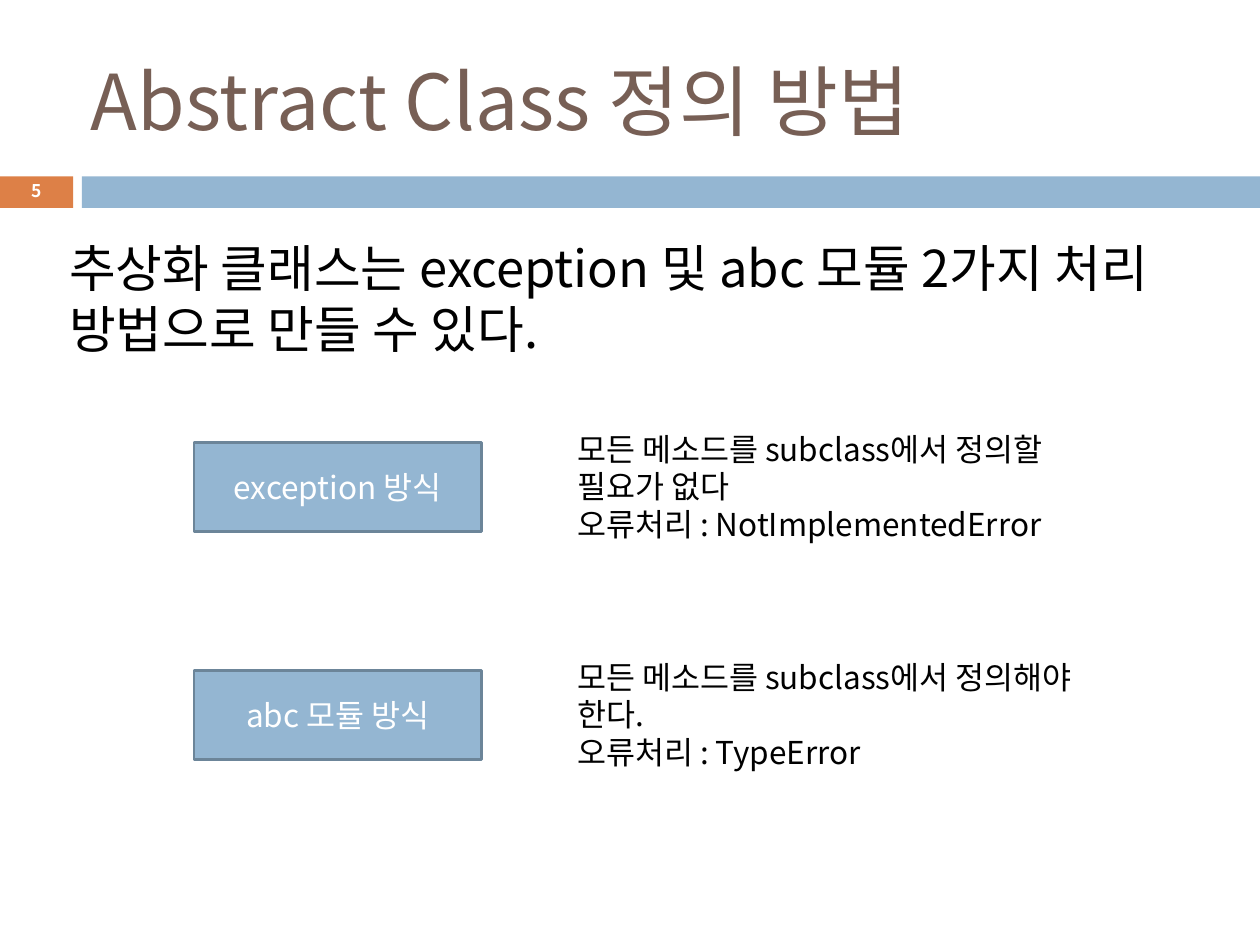
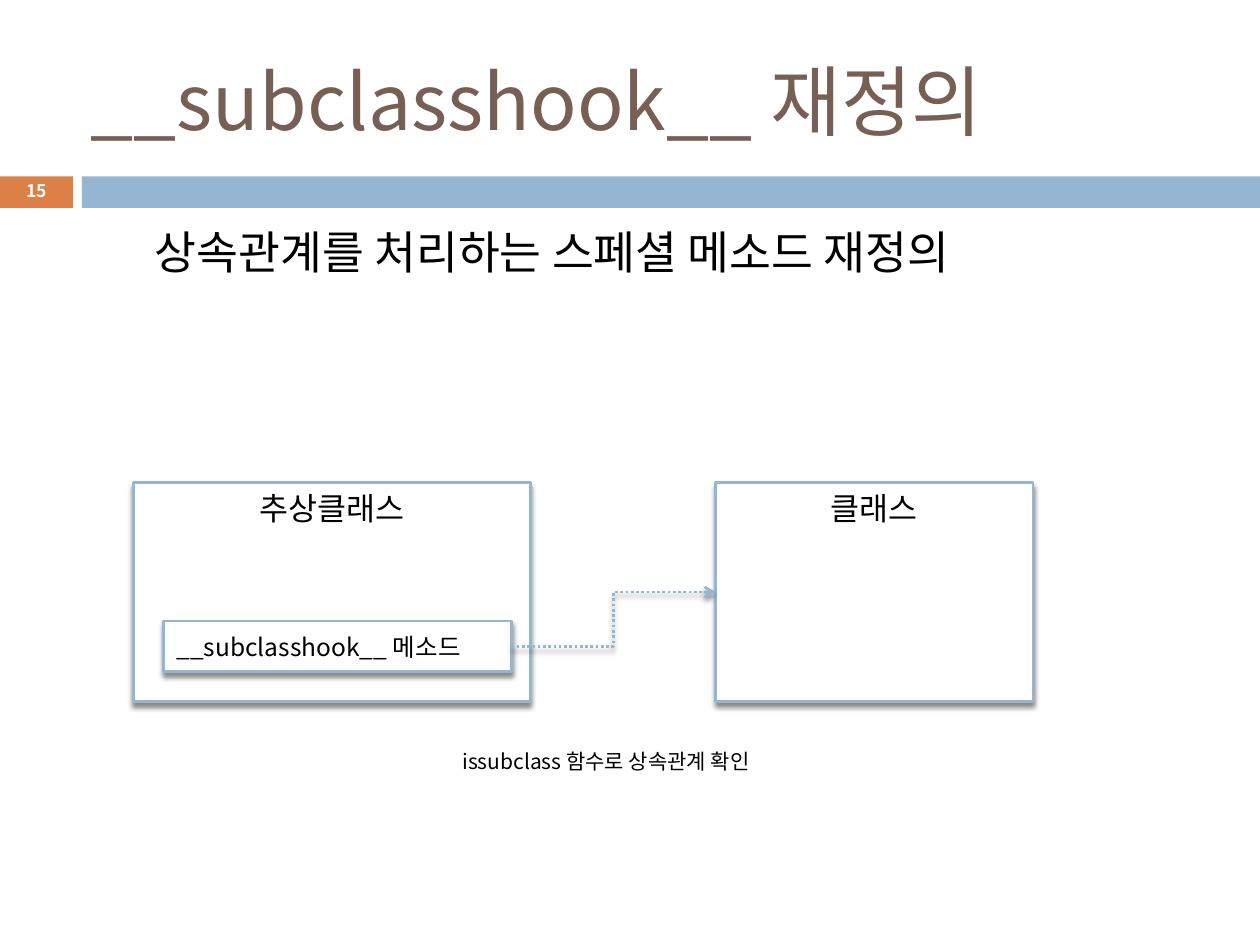
"""Build two slides on defining abstract classes in Python."""
import pptx
import pptx.dml.color
import pptx.enum.dml
import pptx.enum.shapes
import pptx.enum.text
import pptx.oxml
import pptx.oxml.ns
import pptx.util

Inches = pptx.util.Inches
Pt = pptx.util.Pt
RGBColor = pptx.dml.color.RGBColor
Align = pptx.enum.text.PP_ALIGN
Anchor = pptx.enum.text.MSO_ANCHOR

FONT = "Noto Sans CJK KR"
BLUE = RGBColor(0x94, 0xB6, 0xD2)
DARK_BLUE = RGBColor(0x6C, 0x85, 0x99)
ORANGE = RGBColor(0xDD, 0x80, 0x47)
BROWN = RGBColor(0x77, 0x5F, 0x55)
BLACK = RGBColor(0, 0, 0)
WHITE = RGBColor(0xFF, 0xFF, 0xFF)
NAMESPACE = pptx.oxml.ns.nsdecls("a")
SHADOW = (
    f'<a:effectLst {NAMESPACE}><a:outerShdw blurRad="38100" dist="30480" dir="5400000" '
    'algn="ctr" rotWithShape="0"><a:srgbClr val="000000"><a:alpha val="45000"/>'
    "</a:srgbClr></a:outerShdw></a:effectLst>"
)


def write(box, lines, size, color=BLACK, align=Align.LEFT, anchor=Anchor.TOP, indent=0):
    """Fill a shape with one paragraph per line."""
    frame = box.text_frame
    frame.word_wrap = True
    frame.auto_size = pptx.enum.text.MSO_AUTO_SIZE.NONE
    frame.vertical_anchor = anchor
    frame.margin_left = frame.margin_right = Inches(0.05)
    frame.margin_top = frame.margin_bottom = Inches(0.05)
    for number, line in enumerate(lines):
        para = frame.add_paragraph() if number else frame.paragraphs[0]
        para.alignment = align
        para.space_before = Pt(0)
        properties = para._p.get_or_add_pPr()
        properties.set("marL", str(Inches(indent)))
        properties.set("indent", "0")
        properties.append(pptx.oxml.parse_xml(f"<a:buNone {NAMESPACE}/>"))
        span = para.add_run()
        span.text = line
        span.font.size = Pt(size)
        span.font.name = FONT
        span.font.color.rgb = color
        span._r.get_or_add_rPr().append(
            pptx.oxml.parse_xml(f'<a:ea {NAMESPACE} typeface="{FONT}"/>'))


def add_box(page, place, fill, outline=None):
    """Add a flat rectangle with an optional outline."""
    box = page.shapes.add_shape(
        pptx.enum.shapes.MSO_SHAPE.RECTANGLE, *map(Inches, place))
    box.shadow.inherit = False
    box.fill.solid()
    box.fill.fore_color.rgb = fill
    if outline is None:
        box.line.fill.background()
    else:
        box.line.color.rgb = outline
        box.line.width = Pt(1.5)
    return box


deck = pptx.Presentation()
deck.slide_width = Inches(10)
deck.slide_height = Inches(7.5)

pages = []
for heading, page_number in (("Abstract Class 정의 방법", "5"), ("__subclasshook__ 재정의", "15")):
    page = deck.slides.add_slide(deck.slide_layouts[1])
    pages.append(page)
    add_box(page, (0, 1.4, 0.58, 0.25), ORANGE)
    add_box(page, (0.65, 1.4, 9.35, 0.25), BLUE)
    title = page.shapes.title
    title.left, title.top, title.width, title.height = map(Inches, (0.67, 0.25, 8.92, 1.08))
    write(title, [heading], 44, BROWN, anchor=Anchor.MIDDLE)
    number_box = page.shapes.add_textbox(*map(Inches, (0, 1.39, 0.58, 0.27)))
    write(number_box, [page_number], 10, WHITE, Align.CENTER, Anchor.MIDDLE)
    number_para = number_box.text_frame.paragraphs[0]
    number_para.line_spacing = 0.8
    number_para.runs[0].font.bold = True

methods_page, hook_page = pages

body = methods_page.placeholders[1]
body.left, body.top, body.width, body.height = map(Inches, (0.5, 1.83, 9, 1.45))
write(body, ["추상화 클래스는 exception 및 abc 모듈 2가지 처리 방법으로 만들 수 있다."], 29)
body.text_frame.paragraphs[0].space_before = Pt(7)

methods = (
    ("exception 방식", "모든 메소드를 subclass에서 정의할 필요가 없다", "NotImplementedError"),
    ("abc 모듈 방식", "모든 메소드를 subclass에서 정의해야 한다.", "TypeError"),
)
for row, (method, rule, error) in enumerate(methods):
    top = 3.51 + row * 1.81
    method_box = add_box(methods_page, (1.54, top, 2.28, 0.71), BLUE, DARK_BLUE)
    write(method_box, [method], 18, WHITE, Align.CENTER, Anchor.MIDDLE)
    note = methods_page.shapes.add_textbox(*map(Inches, (4.53, top - 0.15, 4.49, 1.01)))
    write(note, [rule, f"오류처리 : {error}"], 18)

body = hook_page.placeholders[1]
body.left, body.top, body.width, body.height = map(Inches, (0.51, 1.73, 9, 1.55))
write(body, ["상속관계를 처리하는 스페셜 메소드 재정의"], 26, indent=0.67)
body.text_frame.paragraphs[0].level = 1
body.text_frame.paragraphs[0].space_before = Pt(5)

abstract_box = add_box(hook_page, (1.06, 3.83, 3.15, 1.74), WHITE, BLUE)
write(abstract_box, ["추상클래스"], 18, align=Align.CENTER)
hook_box = add_box(hook_page, (1.3, 4.93, 2.76, 0.4), WHITE, BLUE)
write(hook_box, ["__subclasshook__ 메소드"], 14, anchor=Anchor.MIDDLE, indent=0.05)
class_box = add_box(hook_page, (5.68, 3.83, 2.52, 1.74), WHITE, BLUE)
write(class_box, ["클래스"], 18, align=Align.CENTER)

arrow = hook_page.shapes.add_connector(
    pptx.enum.shapes.MSO_CONNECTOR.ELBOW, 0, 0, 0, 0)
arrow.begin_connect(hook_box, 3)
arrow.end_connect(class_box, 1)
arrow.line.width = Pt(1.5)
arrow.line.color.rgb = BLUE
arrow.line.dash_style = pptx.enum.dml.MSO_LINE.ROUND_DOT
arrow.line._get_or_add_ln().append(
    pptx.oxml.parse_xml(f'<a:tailEnd {NAMESPACE} type="arrow"/>'))

for shape in (abstract_box, hook_box, class_box, arrow):
    properties = shape._element.spPr
    for effect in properties.findall(pptx.oxml.ns.qn("a:effectLst")):
        properties.remove(effect)
    properties.append(pptx.oxml.parse_xml(SHADOW))

caption = hook_page.shapes.add_textbox(*map(Inches, (3.58, 5.89, 2.76, 0.3)))
write(caption, ["issubclass 함수로 상속관계 확인"], 12, indent=0.04)

deck.save("out.pptx")
